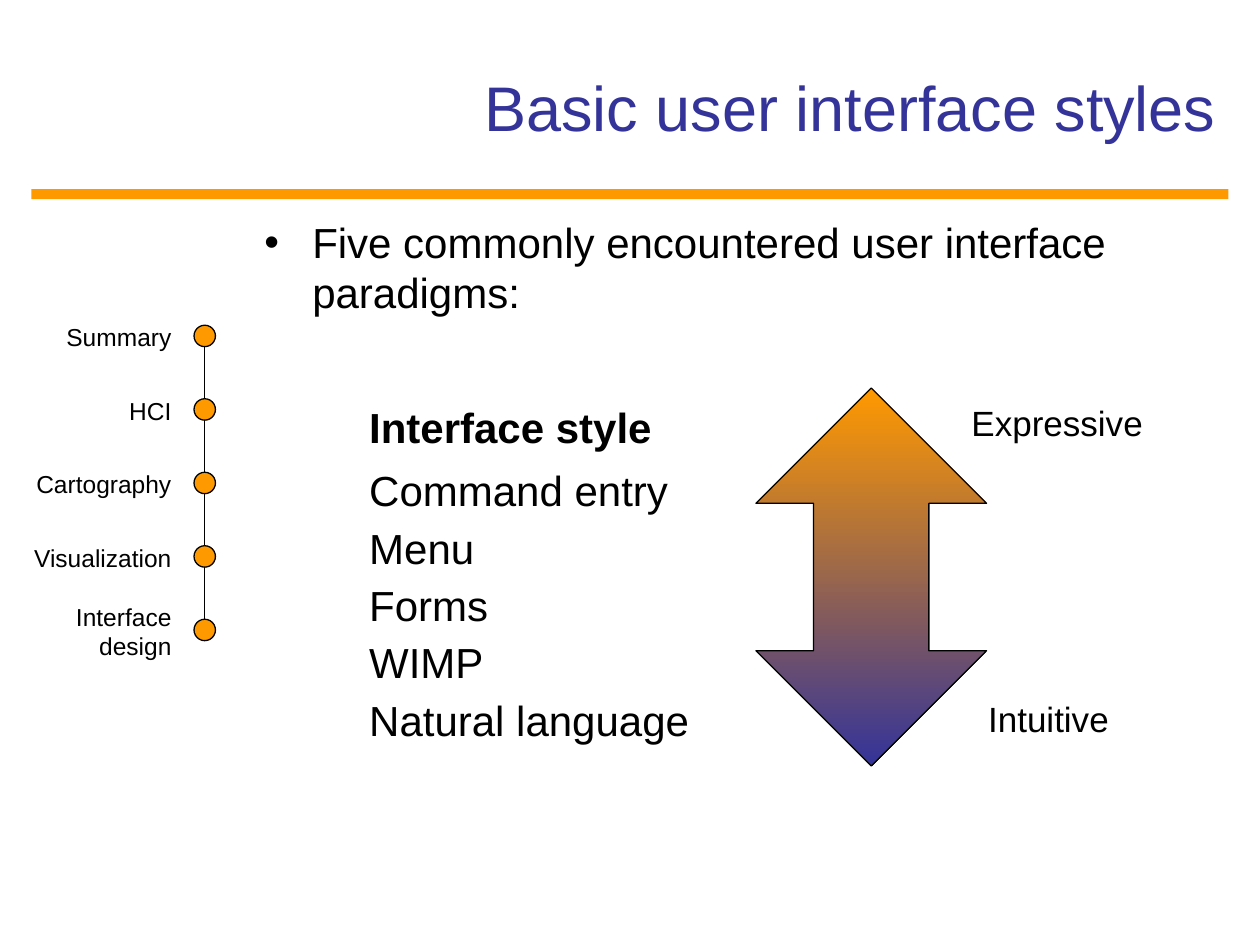
"""Build the slide on basic user interface styles."""
from lxml import etree
from pptx import Presentation
from pptx import util as u
from pptx.dml import color
from pptx.enum import shapes, text
from pptx.oxml import ns

WIDTH, HEIGHT = 10, 7.5
COLORS = {"accent": "FF9900", "title": "333399", "ink": "000000"}
TITLE = "Basic user interface styles"
INTRO = "Five commonly encountered user interface paradigms:"
STAGES = [
    (["Summary"], 1.06),
    (["HCI"], 0.56),
    (["Cartography"], 1.3),
    (["Visualization"], 1.32),
    (["Interface", "design"], 0.99),
]
TABLE = [
    (["Interface style"], 0.5, True),
    (["Command entry", "Menu", "Forms", "WIMP", "Natural language"], 2.44, False),
]
SCALE_ENDS = [("Expressive", 7.61, 3.14, 1.56), ("Intuitive", 7.74, 5.49, 1.16)]

MARGIN = WIDTH / 40
TIMELINE_X, TIMELINE_TOP, STAGE_GAP, DOT = 13 / 8, 8 / 3, 7 / 12, 0.17
LABEL_RIGHT, LABEL_LINE, LABEL_INSET = 1.46, 0.23, 0.11
LINE_WIDTH = 0.75
HEAD_SHARE, SHAFT_SHARE = 0.33, 0.5


def rgb(name):
    return color.RGBColor.from_string(COLORS[name])


def inches(*lengths):
    return [u.Inches(length) for length in lengths]


def write(frame, lines, size, ink="ink", align=text.PP_ALIGN.LEFT, gap=0, bold=False):
    for index, line in enumerate(lines):
        paragraph = frame.paragraphs[0] if index == 0 else frame.add_paragraph()
        paragraph.text = line
        paragraph.alignment = align
        if index:
            paragraph.space_before = u.Pt(gap)
        for name, value in {"name": "Arial", "size": u.Pt(size), "bold": bold}.items():
            setattr(paragraph.font, name, value)
        paragraph.font.color.rgb = rgb(ink)


def add_frame(slide, box, wrap=True, anchor=text.MSO_ANCHOR.TOP):
    frame = slide.shapes.add_textbox(*inches(*box)).text_frame
    fit = text.MSO_AUTO_SIZE.NONE if wrap else text.MSO_AUTO_SIZE.SHAPE_TO_FIT_TEXT
    for name, value in {"word_wrap": wrap, "vertical_anchor": anchor, "auto_size": fit}.items():
        setattr(frame, name, value)
    return frame


def add_label(slide, box, lines, size):
    write(add_frame(slide, box, wrap=False), lines, size, align=text.PP_ALIGN.RIGHT)


def outline(shape):
    shape.line.color.rgb = rgb("ink")
    shape.line.width = u.Pt(LINE_WIDTH)


def add_shape(slide, kind, box, outlined=True):
    shape = slide.shapes.add_shape(kind, *inches(*box))
    shape.shadow.inherit = False
    shape.fill.solid()
    shape.fill.fore_color.rgb = rgb("accent")
    if outlined:
        outline(shape)
    else:
        shape.line.fill.background()
    return shape


def add_timeline(slide):
    centers = [TIMELINE_TOP + index * STAGE_GAP for index in range(len(STAGES))]
    for start, end in zip(centers, centers[1:]):
        connector = slide.shapes.add_connector(
            shapes.MSO_CONNECTOR.STRAIGHT, *inches(TIMELINE_X, start, TIMELINE_X, end))
        outline(connector)
        etree.SubElement(connector._element.spPr, ns.qn("a:effectLst"))
    for (lines, width), center in zip(STAGES, centers):
        add_shape(slide, shapes.MSO_SHAPE.OVAL,
                  (TIMELINE_X - DOT / 2, center - DOT / 2, DOT, DOT))
        height = LABEL_INSET + LABEL_LINE * len(lines)
        add_label(slide, (LABEL_RIGHT - width, center + 0.01 - height / 2, width, height),
                  lines, 14)


def add_title(slide):
    frame = add_frame(slide, (0.75, 0.22, WIDTH - MARGIN - 0.75, 1.25),
                      anchor=text.MSO_ANCHOR.MIDDLE)
    write(frame, [TITLE], 36, ink="title", align=text.PP_ALIGN.RIGHT)


def add_intro(slide):
    frame = add_frame(slide, (2, 1.67, WIDTH - MARGIN - 2, 2.54))
    properties = frame.paragraphs[0]._p.get_or_add_pPr()
    properties.set("marL", str(u.Inches(0.38)))
    properties.set("indent", str(u.Inches(-0.38)))
    etree.SubElement(properties, ns.qn("a:buFont")).set("typeface", "Arial")
    etree.SubElement(properties, ns.qn("a:buChar")).set("char", "•")
    write(frame, [INTRO], 24)


def add_styles_table(slide):
    height = sum(row[1] for row in TABLE)
    table = slide.shapes.add_table(len(TABLE), 1, *inches(2.83, 3.17, 4.83, height)).table
    table.first_row = table.horz_banding = False
    for index, (lines, row_height, bold) in enumerate(TABLE):
        table.rows[index].height = u.Inches(row_height)
        cell = table.cell(index, 0)
        cell.fill.background()
        write(cell.text_frame, lines, 24, gap=6, bold=bold)


def add_scale(slide):
    arrow = add_shape(slide, shapes.MSO_SHAPE.UP_DOWN_ARROW, (6, 3.08, 1.83, 3))
    arrow.adjustments[0], arrow.adjustments[1] = HEAD_SHARE, SHAFT_SHARE
    arrow.fill.gradient()
    arrow.fill.gradient_angle = 270
    for stop, name, position in zip(arrow.fill.gradient_stops, ("accent", "title"), (0, 1)):
        stop.color.rgb = rgb(name)
        stop.position = position
    for label, left, top, width in SCALE_ENDS:
        add_label(slide, (left, top, width, 0.44), [label], 20)


def main():
    presentation = Presentation()
    presentation.slide_width, presentation.slide_height = inches(WIDTH, HEIGHT)
    slide = presentation.slides.add_slide(presentation.slide_layouts[6])
    add_shape(slide, shapes.MSO_SHAPE.RECTANGLE,
              (MARGIN, HEIGHT / 5, WIDTH - 2 * MARGIN, 0.08), outlined=False)
    for add_part in (add_timeline, add_title, add_intro, add_styles_table, add_scale):
        add_part(slide)
    presentation.save("out.pptx")


if __name__ == "__main__":
    main()
